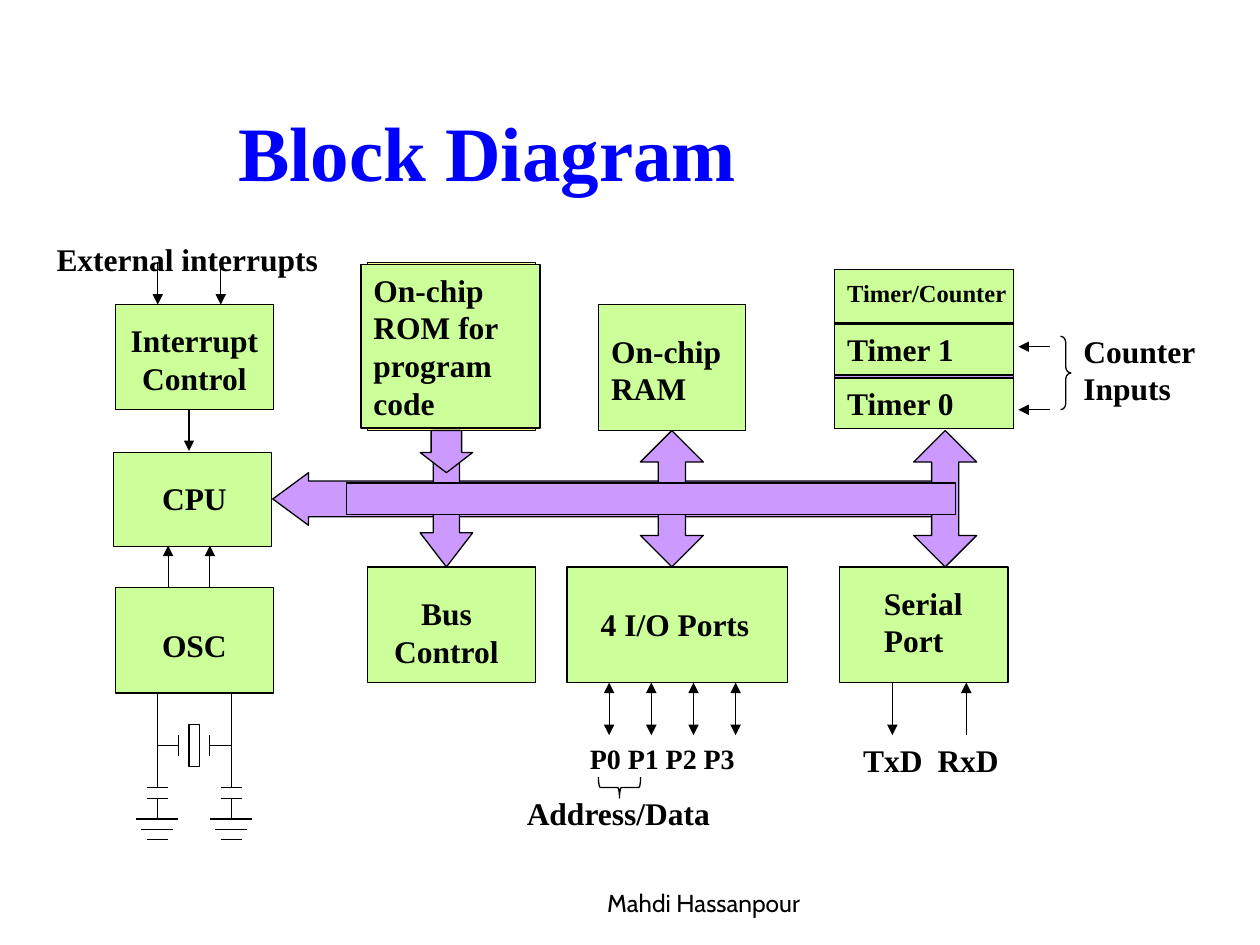
from typing import NamedTuple

from lxml import etree
from pptx import Presentation
from pptx.dml import color
from pptx.enum import shapes, text
from pptx.oxml import ns
from pptx.util import Cm, Pt

GREEN, PURPLE, YELLOW = "CCFF99", "CC99FF", "FFFF99"
BLACK, BLUE = "000000", "0000FF"
SERIF = "Times New Roman"
SHAPE = shapes.MSO_SHAPE
LEFT, CENTER = text.PP_ALIGN.LEFT, text.PP_ALIGN.CENTER
TOP, BOTTOM = text.MSO_ANCHOR.TOP, text.MSO_ANCHOR.BOTTOM


class Box(NamedTuple):
    left: float
    top: float
    width: float
    height: float

    def area(self, left, top, width, height):
        return Box(self.left + left, self.top + top, width, height)

    def lengths(self):
        return [Cm(value) for value in self]


def rgb(value):
    return color.RGBColor.from_string(value)


def write(shape, words, size=18, align=LEFT, anchor=TOP, font=SERIF, ink=BLACK, bold=True):
    frame = shape.text_frame
    frame.word_wrap = True
    frame.vertical_anchor = anchor
    frame.text = words
    para = frame.paragraphs[0]
    para.alignment = align
    span = para.runs[0]
    span.font.name, span.font.size, span.font.bold = font, Pt(size), bold
    span.font.color.rgb = rgb(ink)


def label(page, box, words, **style):
    write(page.shapes.add_textbox(*box.lengths()), words, **style)


def block(page, box, fill=GREEN, kind=SHAPE.RECTANGLE, adjust=()):
    shape = page.shapes.add_shape(kind, *box.lengths())
    shape.shadow.inherit = False
    if fill:
        shape.fill.solid()
        shape.fill.fore_color.rgb = rgb(fill)
    else:
        shape.fill.background()
    shape.line.color.rgb = rgb(BLACK)
    shape.line.width = Pt(0.75)
    for index, value in enumerate(adjust):
        shape.adjustments[index] = value
    return shape


def wire(page, box, start, end, *arrowheads):
    points = [Cm(box[i % 2] + value) for i, value in enumerate(start + end)]
    line = page.shapes.add_connector(shapes.MSO_CONNECTOR.STRAIGHT, *points)
    line.line.color.rgb = rgb(BLACK)
    line.line.width = Pt(0.75)
    properties = line._element.spPr
    outline = properties.find(ns.qn("a:ln"))
    for name in arrowheads:
        etree.SubElement(outline, ns.qn(f"a:{name}")).set("type", "triangle")
    etree.SubElement(properties, ns.qn("a:effectLst"))


def arrow(page, box, start, end):
    wire(page, box, start, end, "tailEnd")


def interrupt_control(page, box):
    for x in (0.85, 2.12):
        arrow(page, box, (x, -0.85), (x, 0))
    block(page, box)
    label(page, box.area(0, 0.21, box.width, 1.78), "Interrupt Control", align=CENTER)
    label(page, box.area(-1.44, -1.42, 6.55, 1.02), "External interrupts")
    arrow(page, box, (1.48, box.height), (1.48, 2.95))


def cpu(page, box):
    block(page, box)
    label(page, box.area(0.04, 0.41, box.width, 1.02), "CPU", align=CENTER)


def oscillator(page, box):
    block(page, box)
    label(page, box.area(0, 0.64, box.width, 1.02), "OSC", align=CENTER)
    for x in (1.06, 1.9):
        arrow(page, box, (x, 0), (x, -0.85))


def crystal(page, box):
    block(page, box.area(1.06, 0.64, 0.21, 0.85), fill=None)
    for leg, plate in ((0.42, 0.85), (1.91, 1.48)):
        wire(page, box, (leg, 0), (leg, 1.91))
        wire(page, box, (leg, 1.06), (plate, 1.06))
        wire(page, box, (plate, 0.85), (plate, 1.27))
        wire(page, box, (leg, 2.12), (leg, 2.54))
        for y, half in ((1.91, 0.21), (2.12, 0.21), (2.54, 0.42), (2.75, 0.32), (2.96, 0.21)):
            wire(page, box, (leg - half, y), (leg + half, y))


def rom(page, box):
    block(page, box, YELLOW)
    write(block(page, box.area(-0.13, 0.04, 3.61, 3.3)), "On-chip ROM for program code")


def ram(page, box):
    block(page, box)
    label(page, box.area(0, 0.42, box.width, 1.78), "On-chip RAM")


def timers(page, box):
    for words, top in (("Timer 0", 2.13), ("Timer 1", 1.04)):
        block(page, box.area(0, top, box.width, 1.06), PURPLE)
        write(block(page, box.area(0, top + 0.05, box.width, 1.02)), words)
    block(page, box.area(0, 0, box.width, 1.06))
    label(page, box.area(0, 0.03, 4.47, 0.86), "Timer/Counter", size=14)


def counter_inputs(page, box):
    for y in (0.43, 1.7):
        arrow(page, box, (0.64, y), (0, y))
    block(page, box.area(0.85, 0.22, 0.21, 1.48), None, SHAPE.RIGHT_BRACE, (0.58, 0.5))
    label(page, box.area(1.06, 0, 3.18, box.height), "Counter Inputs")


def bus_control(page, box):
    block(page, box)
    label(page, box.area(0, 0.42, 3.18, 1.78), "Bus Control", align=CENTER)


def io_ports(page, box):
    block(page, box)
    label(page, box.area(0.43, 0.64, 3.81, 1.02), "4 I/O Ports")
    for port in range(4):
        x = 0.85 + 0.85 * port
        wire(page, box, (x, box.height), (x, 3.39), "headEnd", "tailEnd")
    label(page, box.area(0.21, 3.39, 3.86, 0.94), "P0 P1 P2 P3", size=16)
    block(page, box.area(0.85, 4.02, 0.42, 0.85), None, SHAPE.LEFT_BRACE).rotation = 270
    label(page, box.area(-1.06, 4.45, 5.08, 1.02), "Address/Data")


def serial_port(page, box):
    block(page, box)
    label(page, box.area(0.64, 0.21, 2.33, 1.78), "Serial Port")
    arrow(page, box, (1.06, box.height), (1.06, 3.39))
    arrow(page, box, (2.55, 3.39), (2.55, box.height))
    for words, x in (("TxD", 0.22), ("RxD", 1.72)):
        label(page, box.area(x, 3.39, 1.8, 1.02), words)


def bus(page, box):
    block(page, box.area(0, 0.85, 13.55, 1.06), PURPLE, SHAPE.LEFT_ARROW, (0.68, 0.68))
    for x in (7.41, 12.92):
        block(page, box.area(x, 0, 1.27, box.height), PURPLE, SHAPE.UP_DOWN_ARROW, (0.5, 0.43))
    block(page, box.area(2.97, 0, 1.06, box.height), PURPLE, SHAPE.DOWN_ARROW, (0.5, 0.65))
    block(page, box.area(1.49, 1.06, 12.27, 0.63), PURPLE)
    block(page, box.area(2.97, 0, 1.06, 0.85), PURPLE, SHAPE.DOWN_ARROW, (0.58, 0.48))


def main():
    deck = Presentation()
    deck.slide_width, deck.slide_height = Cm(25.4), Cm(19.05)
    page = deck.slides.add_slide(deck.slide_layouts[6])
    label(page, Box(4.55, 1.07, 18.21, 3.02), "Block Diagram", size=44, ink=BLUE, anchor=BOTTOM)
    regions = (
        (cpu, Box(2.29, 9.12, 3.18, 1.9)),
        (ram, Box(12.07, 6.14, 2.96, 2.54)),
        (rom, Box(7.41, 5.29, 3.39, 3.39)),
        (io_ports, Box(11.43, 11.43, 4.44, 2.33)),
        (serial_port, Box(16.93, 11.43, 3.39, 2.33)),
        (oscillator, Box(2.33, 11.85, 3.18, 2.12)),
        (interrupt_control, Box(2.33, 6.14, 3.18, 2.12)),
        (crystal, Box(2.75, 13.97, 2.33, 2.96)),
        (timers, Box(16.83, 5.44, 3.61, 3.19)),
        (bus_control, Box(7.41, 11.43, 3.39, 2.33)),
        (counter_inputs, Box(20.53, 6.56, 4.24, 1.78)),
        (bus, Box(5.5, 8.68, 13.76, 2.75)),
    )
    for draw, box in regions:
        draw(page, box)
    label(page, Box(10.16, 17.35, 8.05, 1.27), "Mahdi Hassanpour", size=14,
          align=CENTER, anchor=BOTTOM, font="Cabin", bold=False)
    deck.save("out.pptx")


if __name__ == "__main__":
    main()
